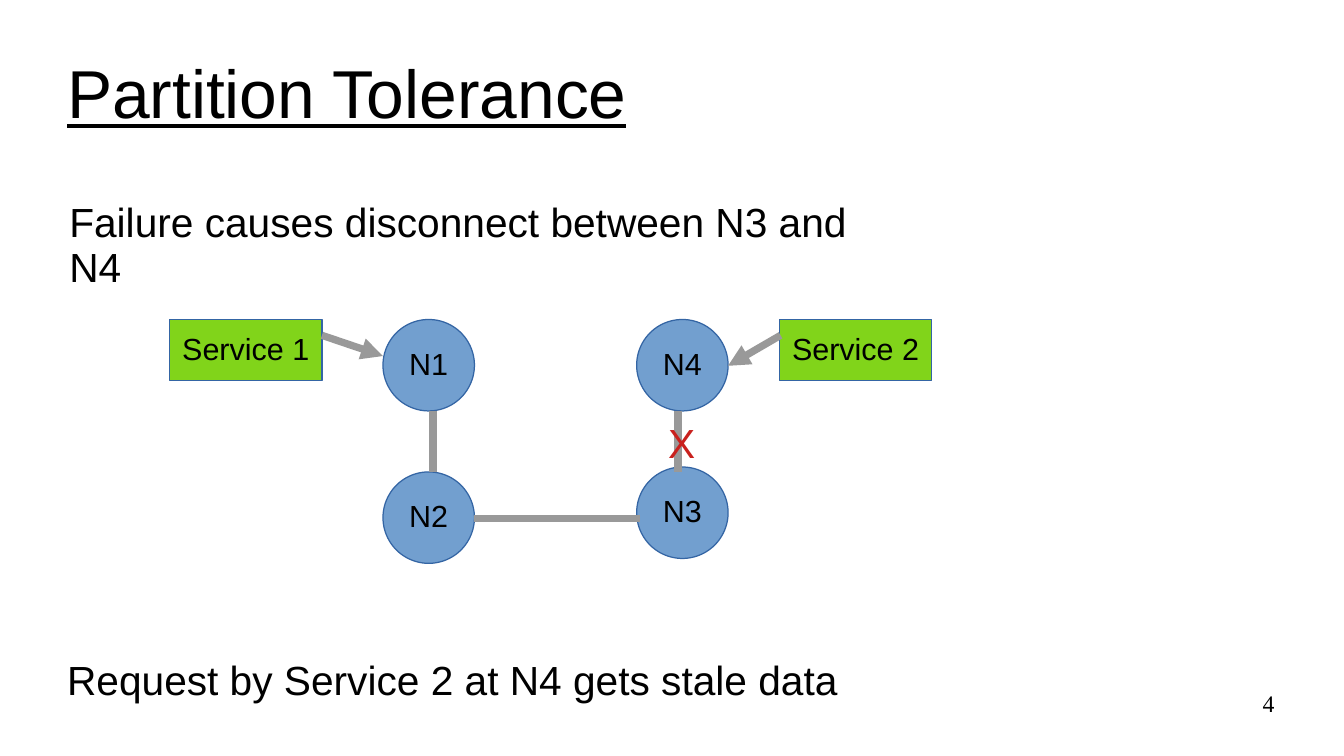
from lxml.etree import SubElement
from pptx import Presentation
from pptx.dml.color import RGBColor
from pptx.enum.shapes import MSO_CONNECTOR as Connector, MSO_SHAPE as Shape
from pptx.enum.text import MSO_ANCHOR as Anchor, MSO_AUTO_SIZE as AutoSize, PP_ALIGN as Align
from pptx.oxml.ns import qn
from pptx.util import Inches, Pt

TITLE = "Partition Tolerance"
FAILURE = "Failure causes disconnect between N3 and N4"
CONSEQUENCE = "Request by Service 2 at N4 gets stale data"
BREAK_MARK = "X"
PAGE = "4"

NODES = {"N1": (3.14, 2.62), "N4": (5.22, 2.62), "N3": (5.22, 3.83), "N2": (3.14, 3.87)}
SERVICES = {"Service 1": (1.39, 2.62), "Service 2": (6.39, 2.62)}
NODE_SIZE = (0.75, 0.75)
SERVICE_SIZE = (1.25, 0.5)
LINKS = [
    ((3.55, 3.37), (3.55, 3.87)),
    ((5.56, 3.37), (5.56, 3.87)),
    ((3.89, 4.25), (5.25, 4.25)),
]
REQUESTS = [((2.64, 2.75), (3.14, 2.92)), ((6.4, 2.75), (5.97, 3))]

BLACK, RED, GREY = "000000", "C9211E", "999999"
BLUE, GREEN, OUTLINE = "729FCF", "81D41A", "3465A4"
PADDED = (0.1, 0.05, 0.1, 0.05)
FLUSH = (0, 0, 0, 0)


def color(hex_value):
    return RGBColor.from_string(hex_value)


def apply(target, values):
    for name, value in values.items():
        setattr(target, name, value)


def write(holder, text, size, ink=BLACK, font="Arial", align=Align.LEFT,
          anchor=Anchor.TOP, margins=PADDED, underline=False):
    frame = holder.text_frame
    sides = ("margin_left", "margin_top", "margin_right", "margin_bottom")
    apply(frame, dict(zip(sides, map(Inches, margins))))
    apply(frame, {"text": text, "word_wrap": True, "auto_size": AutoSize.NONE,
                  "vertical_anchor": anchor})
    line = frame.paragraphs[0]
    apply(line, {"alignment": align, "line_spacing": 0.93,
                 "space_before": Pt(0), "space_after": Pt(1.5)})
    letters = line.runs[0].font
    apply(letters, {"name": font, "size": Pt(size), "underline": underline})
    letters.color.rgb = color(ink)


def place(holder, *box):
    apply(holder, dict(zip(("left", "top", "width", "height"), map(Inches, box))))


def add_label(text, box, **style):
    write(slide.shapes.add_textbox(*map(Inches, box)), text, **style)


def add_parts(parts, kind, size, fill):
    for text, corner in parts.items():
        part = slide.shapes.add_shape(kind, *map(Inches, corner + size))
        part.shadow.inherit = False
        part.fill.solid()
        part.fill.fore_color.rgb = color(fill)
        part.line.color.rgb = color(OUTLINE)
        part.line.width = Pt(0.75)
        write(part, text, 18, align=Align.CENTER, anchor=Anchor.MIDDLE)


def add_lines(routes, arrow=False):
    for start, end in routes:
        link = slide.shapes.add_connector(Connector.STRAIGHT, *map(Inches, start + end))
        link.line.color.rgb = color(GREY)
        link.line.width = Pt(4.31)
        if arrow:
            SubElement(link.line._get_or_add_ln(), qn("a:tailEnd"), type="triangle")
        SubElement(link._element.spPr, qn("a:effectLst"))


deck = Presentation()
apply(deck, {"slide_width": Inches(11.02), "slide_height": Inches(6.2)})
slide = deck.slides.add_slide(deck.slide_layouts[1])

title = slide.shapes.title
place(title, 0.55, 0.25, 9.92, 1.03)
write(title, TITLE, 40, anchor=Anchor.MIDDLE, margins=(0, 0.04, 0, 0), underline=True)

consequence = slide.placeholders[1]
place(consequence, 0.55, 5.16, 9.92, 0.86)
write(consequence, CONSEQUENCE, 24, anchor=Anchor.MIDDLE, margins=FLUSH)
bullet = consequence.text_frame.paragraphs[0]._p.get_or_add_pPr()
apply(bullet, {"marL": 0, "indent": 0})
bullet.set("marL", "0")
bullet.set("indent", "0")
SubElement(bullet, qn("a:buNone"))

add_parts(NODES, Shape.OVAL, NODE_SIZE, BLUE)
add_parts(SERVICES, Shape.RECTANGLE, SERVICE_SIZE, GREEN)
add_lines(LINKS)
add_lines(REQUESTS, arrow=True)

add_label(BREAK_MARK, (5.38, 3.41, 0.37, 0.47), size=24, ink=RED)
add_label(FAILURE, (0.47, 1.6, 6.9, 0.85), size=24)
add_label(PAGE, (7.9, 5.67, 2.55, 0.41), size=14, font="Times New Roman",
          align=Align.RIGHT, margins=FLUSH)

deck.save("out.pptx")
